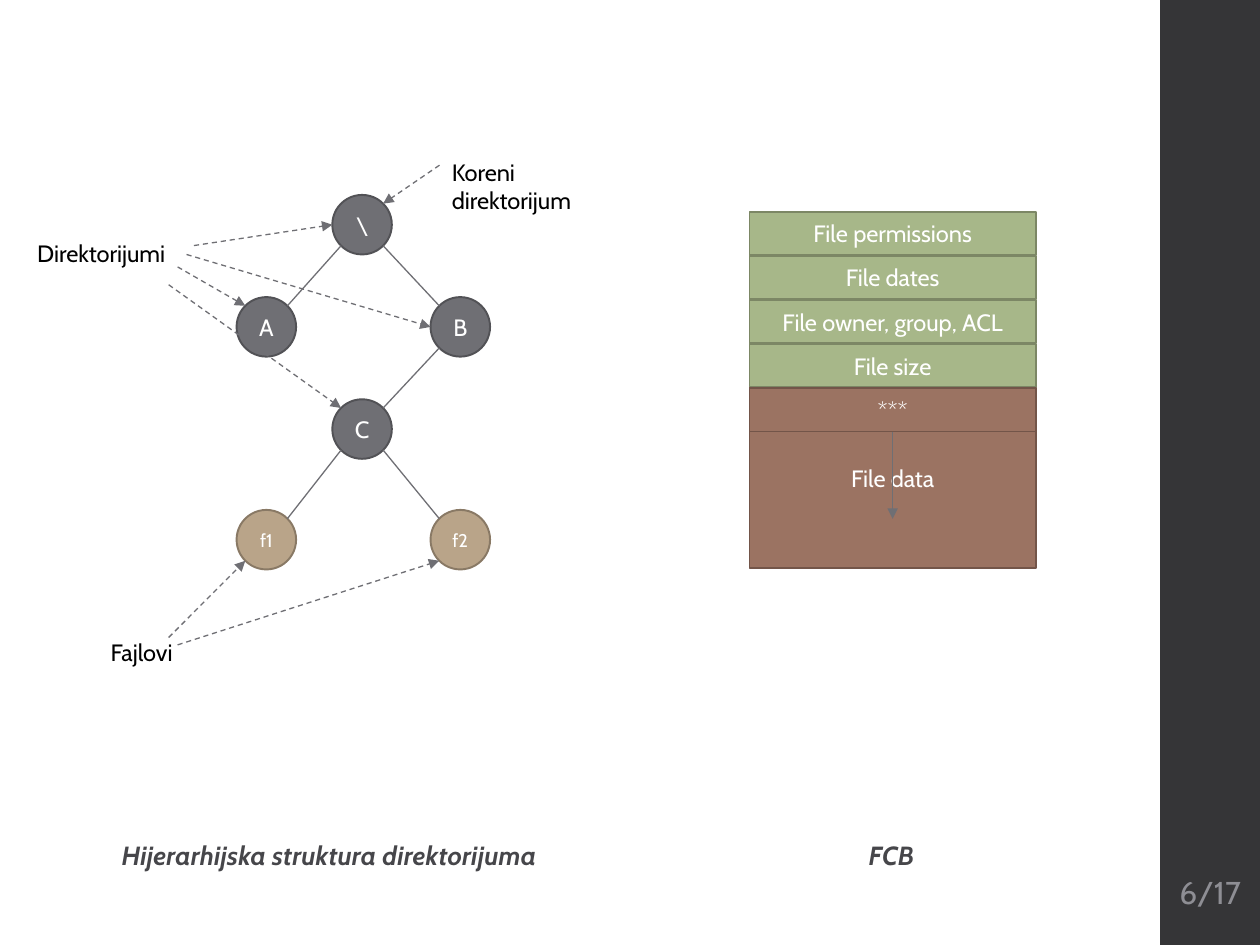
from pptx import Presentation
from pptx.dml.color import RGBColor
from pptx.enum.dml import MSO_LINE
from pptx.enum.shapes import MSO_CONNECTOR as Link, MSO_SHAPE as Kind
from pptx.enum.text import MSO_ANCHOR as Anchor, MSO_AUTO_SIZE as Fit, PP_ALIGN as Align
from pptx.oxml.ns import qn
from pptx.util import Cm, Pt
from lxml.etree import SubElement

FONT = "Cabin"
HUES = {
    "bar": "353537", "head": "46464A", "page": "8E8E94",
    "text": "000000", "white": "FFFFFF", "link": "6F6F74",
    "dir": "6F6F74", "dir_edge": "525256",
    "file": "B9A489", "file_edge": "897965",
    "meta": "A7B789", "meta_edge": "7C8765",
    "data": "9B7362", "data_edge": "735549",
}
HEADS = [(1, "Hijerarhijska struktura direktorijuma", 1.98), (3, "FCB", 13.31)]
COLS = (5.37, 7.3, 9.28)
ROWS = (4.53, 6.59, 8.65, 10.88)
NODES = {
    "\\": (1, 0, "dir", 13.5),
    "A": (0, 1, "dir", 13.5),
    "B": (2, 1, "dir", 13.5),
    "C": (1, 2, "dir", 13.5),
    "f1": (0, 3, "file", 10.5),
    "f2": (2, 3, "file", 10.5),
}
EDGES = [("\\", "A"), ("\\", "B"), ("B", "C"), ("C", "f1"), ("C", "f2")]
HINTS = [
    (3.4, 12.85, "f1", (-1, 1)),
    (3.58, 13, "f2", (-1, 1)),
    (8.86, 3.33, "\\", (1, -1)),
    (3.58, 5.38, "A", (-1, -1)),
    (3.4, 5.74, "C", (-1, -1)),
    (3.76, 5.13, "B", (-1, 0)),
    (3.91, 4.95, "\\", (-1, 0)),
]
LABELS = [
    ("Fajlovi", 1.98, 12.73, 2.97, 0.84),
    ("Koreni direktorijum", 8.86, 3.05, 3.94, 1.42),
    ("Direktorijumi", 0.5, 4.7, 3.45, 0.84),
]
FIELDS = ["File permissions", "File dates", "File owner, group, ACL", "File size"]
SIZE = 1.2
LEFT, TOP, WIDE, HIGH, STEP = 15.11, 4.27, 5.77, 0.87, 0.89


def hue(name):
    return RGBColor.from_string(HUES[name])


def style(frame, text, size, tint, align=Align.CENTER):
    frame.text = text
    para = frame.paragraphs[0]
    para.alignment = align
    run = para.runs[0]
    run.font.name = FONT
    run.font.size = Pt(size)
    run.font.color.rgb = hue(tint)
    return para, run


def block(kind, box, look, text, size=13.5):
    shape = slide.shapes.add_shape(kind, *map(Cm, box))
    shape.shadow.inherit = False
    shape.fill.solid()
    shape.fill.fore_color.rgb = hue(look)
    shape.line.color.rgb = hue(look + "_edge")
    shape.line.width = Pt(1.1)
    frame = shape.text_frame
    frame.margin_left = frame.margin_right = 0
    frame.margin_top = frame.margin_bottom = 0
    frame.vertical_anchor = Anchor.MIDDLE
    style(frame, text, size, "white")
    return shape


def link(start, end, arrow=False, dash=False):
    line = slide.shapes.add_connector(Link.STRAIGHT, *map(Cm, start + end))
    line.line.color.rgb = hue("link")
    line.line.width = Pt(0.75)
    if dash:
        line.line.dash_style = MSO_LINE.DASH
    props = line._element.spPr
    if arrow:
        SubElement(props.find(qn("a:ln")), qn("a:tailEnd"), type="triangle")
    SubElement(props, qn("a:effectLst"))
    return line


def label(text, box, size, tint, align):
    frame = slide.shapes.add_textbox(*map(Cm, box)).text_frame
    frame.word_wrap = True
    style(frame, text, size, tint, align)
    return frame


def center(name):
    col, row = NODES[name][:2]
    return COLS[col], ROWS[row]


def rim(name, way):
    x, y = center(name)
    dx, dy = way
    reach = SIZE / 2 / (dx * dx + dy * dy) ** 0.5
    return x + dx * reach, y + dy * reach


deck = Presentation()
deck.slide_width, deck.slide_height = Cm(25.4), Cm(19.05)
slide = deck.slides.add_slide(deck.slide_layouts[4])

bar = slide.shapes.add_shape(Kind.RECTANGLE, Cm(23.39), 0, Cm(2.01), Cm(19.05))
bar.shadow.inherit = False
bar.fill.solid()
bar.fill.fore_color.rgb = hue("bar")
bar.line.fill.background()

holders = {item.placeholder_format.idx: item for item in slide.placeholders}
for idx, text, left in HEADS:
    head = holders.pop(idx)
    head.left, head.top, head.width, head.height = map(Cm, (left, 16.18, 9.32, 1.52))
    head.text_frame.auto_size = Fit.NONE
    head.text_frame.vertical_anchor = Anchor.BOTTOM
    para, run = style(head.text_frame, text, 15, "head")
    para.line_spacing = 0.95
    para.space_before, para.space_after = Pt(0), Pt(2)
    run.font.bold = run.font.italic = True
    run._r.get_or_add_rPr().set("spc", "10")
for spare in holders.values():
    spare._element.getparent().remove(spare._element)

for name, (col, row, look, size) in NODES.items():
    x, y = center(name)
    block(Kind.OVAL, (x - SIZE / 2, y - SIZE / 2, SIZE, SIZE), look, name, size)

for upper, lower in EDGES:
    side = 1 if center(lower)[0] > center(upper)[0] else -1
    link(rim(upper, (side, 1)), rim(lower, (-side, -1)))

for x, y, name, way in HINTS:
    link((x, y), rim(name, way), arrow=True, dash=True)

for text, *box in LABELS:
    label(text, box, 13.5, "text", Align.LEFT).auto_size = Fit.SHAPE_TO_FIT_TEXT

for row, text in enumerate(FIELDS):
    block(Kind.RECTANGLE, (LEFT, TOP + row * STEP, WIDE, HIGH), "meta", text)

base = TOP + len(FIELDS) * STEP
block(Kind.RECTANGLE, (LEFT, base, WIDE, 3.63), "data", "File data")
stars = block(Kind.RECTANGLE, (LEFT, base, WIDE, HIGH), "data", "***")
mid = LEFT + WIDE / 2
link((mid, base + HIGH), (mid, 10.46), arrow=True).begin_connect(stars, 2)

page = label("6/17", (23.44, 17.15, 1.91, 1.65), 18, "page", Align.CENTER)
page.margin_left = page.margin_right = Cm(0.08)
page.vertical_anchor = Anchor.MIDDLE

deck.save("out.pptx")
